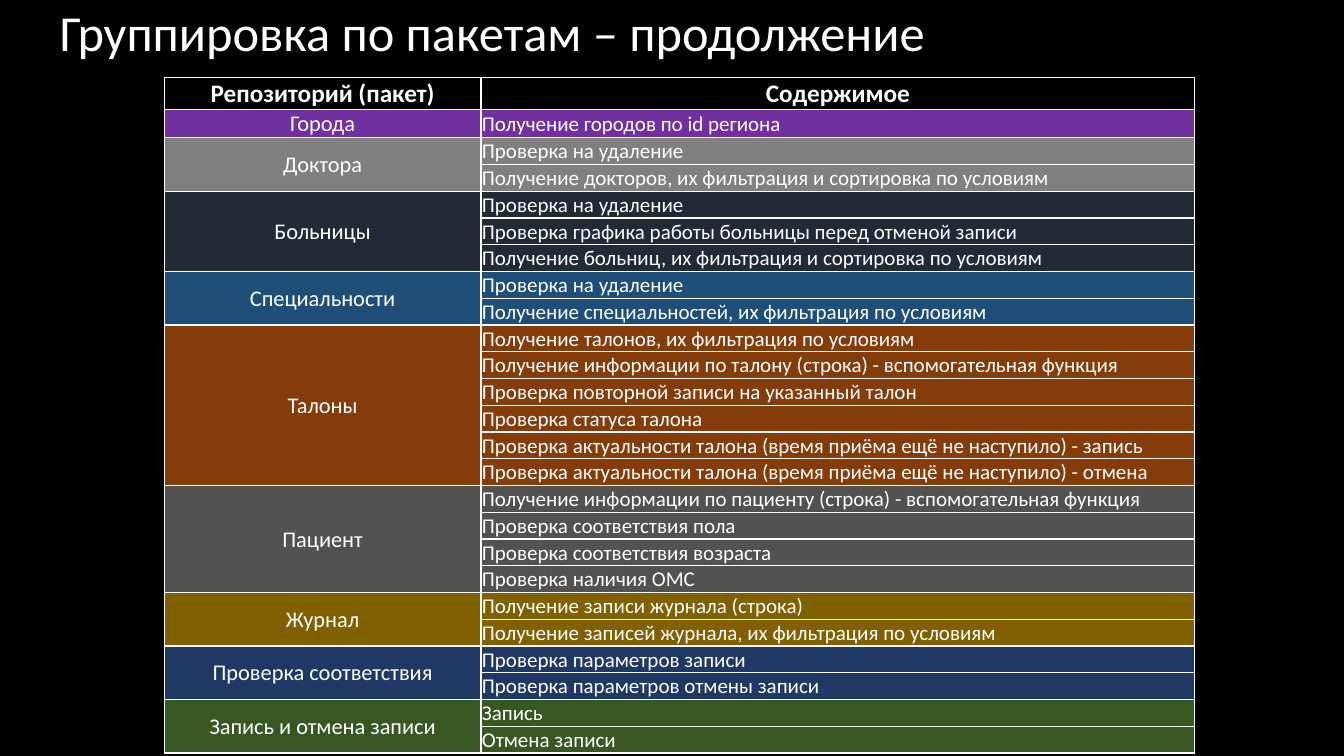
"""Builds the slide with the table of repository packages and their contents."""
import pptx
import pptx.dml.color
import pptx.enum.text
import pptx.oxml
import pptx.oxml.ns
import pptx.util

Inches = pptx.util.Inches
Pt = pptx.util.Pt
Align = pptx.enum.text.PP_ALIGN
Anchor = pptx.enum.text.MSO_ANCHOR

PACKAGES = [
    ("Города", "7030A0", ["Получение городов по id региона"]),
    ("Доктора", "808080", [
        "Проверка на удаление",
        "Получение докторов, их фильтрация и сортировка по условиям",
    ]),
    ("Больницы", "222A35", [
        "Проверка на удаление",
        "Проверка графика работы больницы перед отменой записи",
        "Получение больниц, их фильтрация и сортировка по условиям",
    ]),
    ("Специальности", "1F4E79", [
        "Проверка на удаление",
        "Получение специальностей, их фильтрация по условиям",
    ]),
    ("Талоны", "843C0B", [
        "Получение талонов, их фильтрация по условиям",
        "Получение информации по талону (строка) - вспомогательная функция",
        "Проверка повторной записи на указанный талон",
        "Проверка статуса талона",
        "Проверка актуальности талона (время приёма ещё не наступило) - запись",
        "Проверка актуальности талона (время приёма ещё не наступило) - отмена",
    ]),
    ("Пациент", "525252", [
        "Получение информации по пациенту (строка) - вспомогательная функция",
        "Проверка соответствия пола",
        "Проверка соответствия возраста",
        "Проверка наличия ОМС",
    ]),
    ("Журнал", "806000", [
        "Получение записи журнала (строка)",
        "Получение записей журнала, их фильтрация по условиям",
    ]),
    ("Проверка соответствия", "203864", [
        "Проверка параметров записи",
        "Проверка параметров отмены записи",
    ]),
    ("Запись и отмена записи", "385723", ["Запись", "Отмена записи"]),
]


def color(value):
    return pptx.dml.color.RGBColor.from_string(value)


class PackageSlide:
    font = "Calibri"
    ink = "FFFFFF"
    background = "000000"

    def __init__(self, deck):
        self.slide = deck.slides.add_slide(deck.slide_layouts[5])
        fill = self.slide.background.fill
        fill.solid()
        fill.fore_color.rgb = color(self.background)

    def add_text(self, paragraph, text, size, align, bold=False):
        paragraph.alignment = align
        run = paragraph.add_run()
        run.text = text
        run.font.name = self.font
        run.font.size = Pt(size)
        run.font.bold = bold
        run.font.color.rgb = color(self.ink)

    def title(self, text, left, top, width, height):
        heading = self.slide.shapes.title
        heading.left, heading.top = Inches(left), Inches(top)
        heading.width, heading.height = Inches(width), Inches(height)
        frame = heading.text_frame
        frame.word_wrap = True
        frame.auto_size = pptx.enum.text.MSO_AUTO_SIZE.NONE
        frame.vertical_anchor = Anchor.MIDDLE
        frame.margin_left = Inches(0.24)
        frame.paragraphs[0].line_spacing = 0.9
        self.add_text(frame.paragraphs[0], text, 36, Align.LEFT)

    def borders(self, cell):
        properties = cell._tc.get_or_add_tcPr()
        for side in ("lnL", "lnR", "lnT", "lnB"):
            properties.append(pptx.oxml.parse_xml(
                f'<a:{side} {pptx.oxml.ns.nsdecls("a")} w="{Pt(1)}"><a:solidFill>'
                f'<a:srgbClr val="{self.ink}"/></a:solidFill></a:{side}>'))

    def cell(self, cell, fill=None, text="", size=15, align=Align.LEFT, bold=False):
        cell.margin_left = cell.margin_right = cell.margin_top = Inches(0.01)
        cell.margin_bottom = 0
        cell.vertical_anchor = Anchor.MIDDLE
        self.borders(cell)
        if fill:
            cell.fill.solid()
            cell.fill.fore_color.rgb = color(fill)
        else:
            cell.fill.background()
        if text:
            self.add_text(cell.text_frame.paragraphs[0], text, size, align, bold)

    def table(self, headings, packages, left, top, widths, header_height, row_height):
        count = sum(len(contents) for _, _, contents in packages)
        height = header_height + count * row_height
        grid = self.slide.shapes.add_table(
            count + 1, len(widths), Inches(left), Inches(top),
            Inches(sum(widths)), Inches(height)).table
        grid.horz_banding = False
        for column, width in zip(grid.columns, widths):
            column.width = Inches(width)
        for row in grid.rows:
            row.height = Inches(row_height)
        grid.rows[0].height = Inches(header_height)
        for column, heading in enumerate(headings):
            self.cell(grid.cell(0, column), None, heading, 18, Align.CENTER, True)
        first = 1
        for package, fill, contents in packages:
            last = first + len(contents) - 1
            if last > first:
                grid.cell(first, 0).merge(grid.cell(last, 0))
            for row, content in enumerate(contents, first):
                name = package if row == first else ""
                self.cell(grid.cell(row, 0), fill, name, 16, Align.CENTER)
                self.cell(grid.cell(row, 1), fill, content)
            first = last + 1


def main():
    deck = pptx.Presentation()
    deck.slide_width, deck.slide_height = Inches(13.33), Inches(7.5)
    page = PackageSlide(deck)
    page.title("Группировка по пакетам – продолжение", 0.35, -0.1, 11.5, 0.9)
    page.table(["Репозиторий (пакет)", "Содержимое"], PACKAGES,
               1.63, 0.77, [3.14, 7.08], 0.31, 0.24)
    deck.save("out.pptx")


if __name__ == "__main__":
    main()
